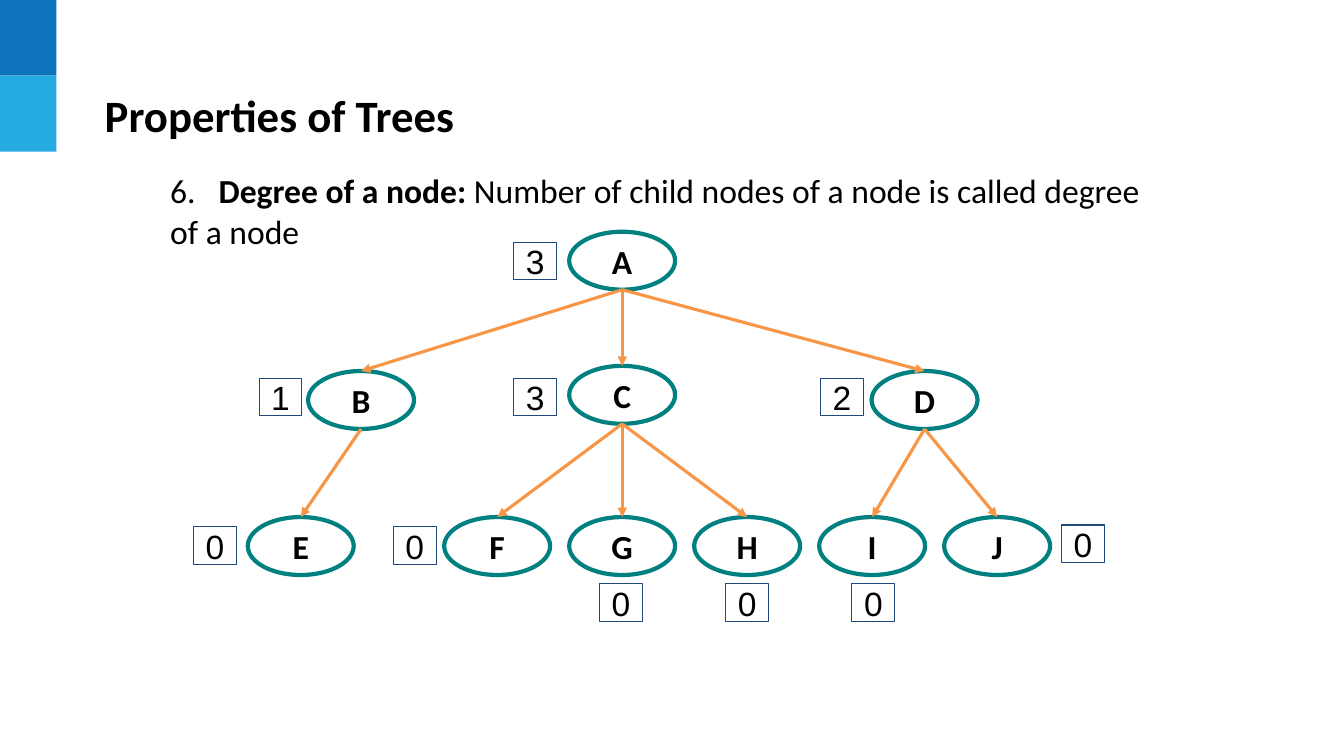
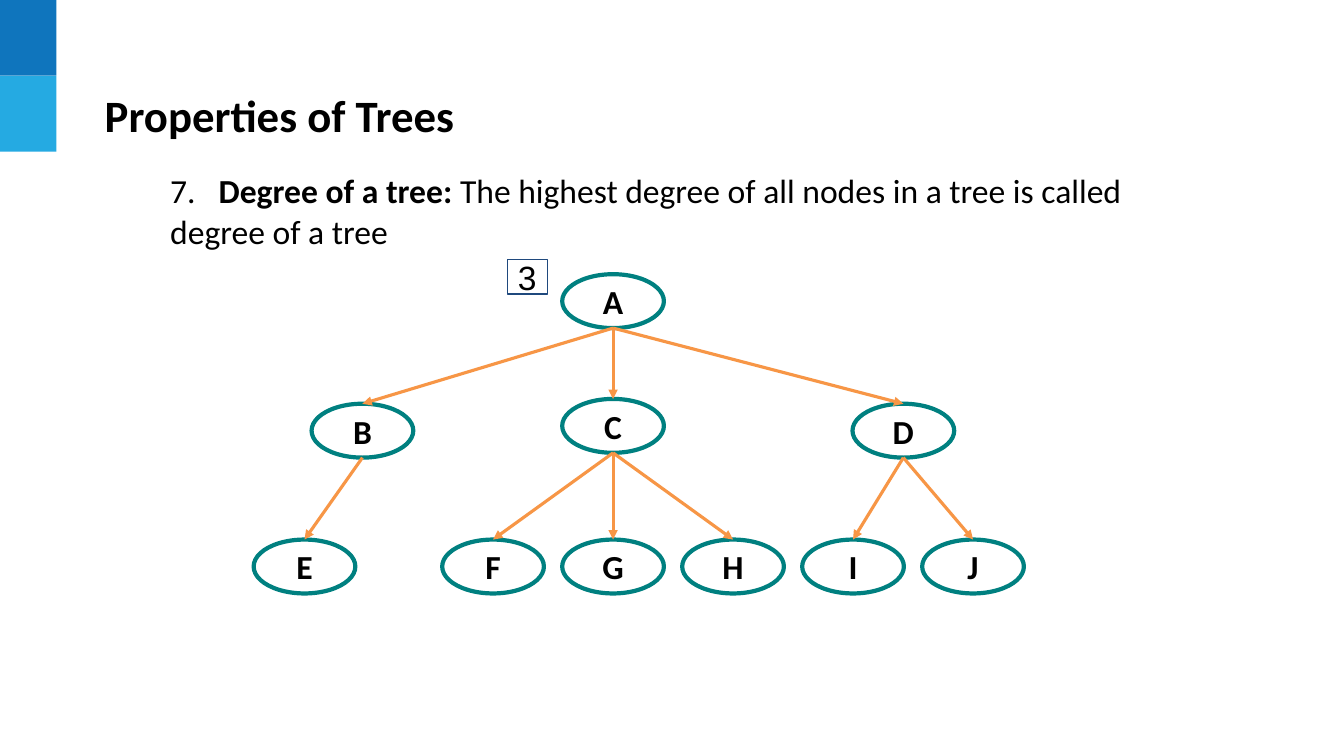
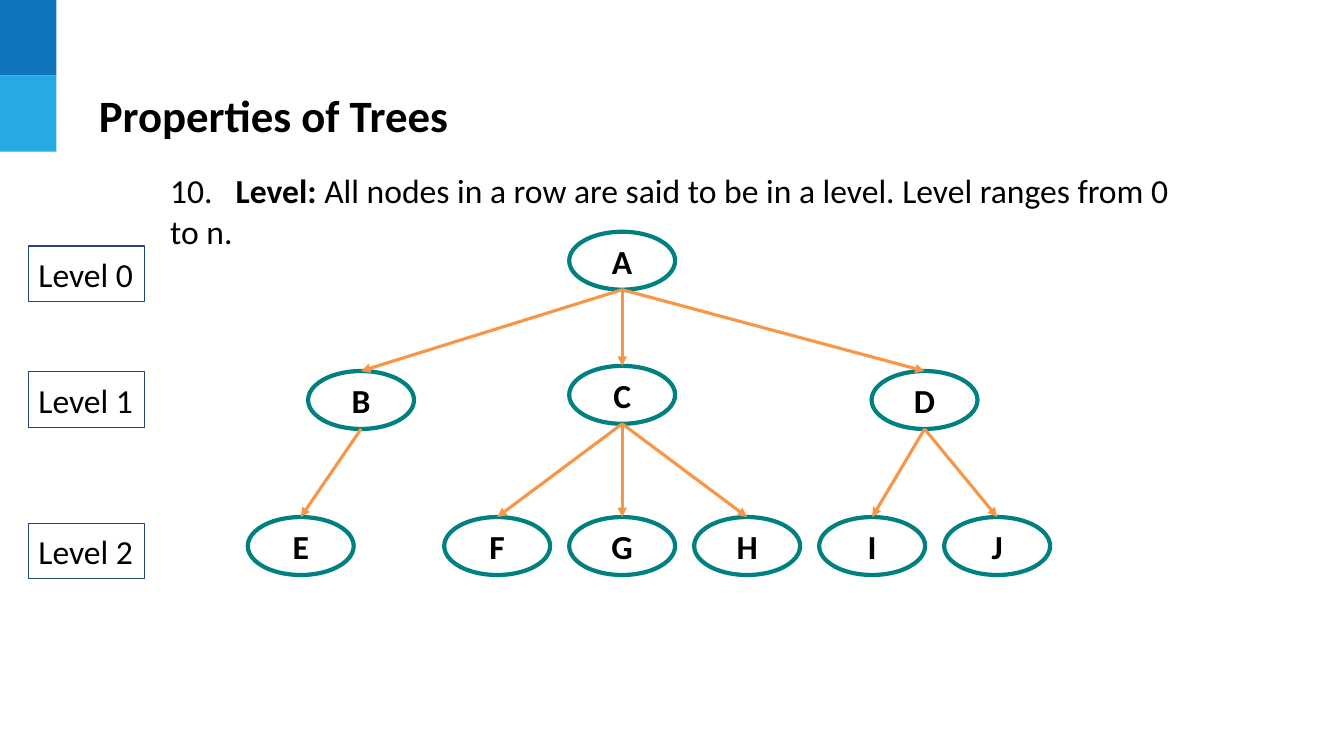
from dataclasses import dataclass

from lxml.etree import SubElement
from pptx import Presentation
from pptx.dml.color import RGBColor
from pptx.enum.shapes import MSO_CONNECTOR, MSO_SHAPE
from pptx.enum.text import MSO_ANCHOR, PP_ALIGN
from pptx.oxml.ns import qn
from pptx.util import Cm, Pt

COLORS = {
    "dark band": "0F75BD",
    "light band": "25AAE2",
    "text": "000000",
    "white": "FFFFFF",
    "node": "008080",
    "edge": "F79646",
    "label": "1F497D",
}
BODY_FONT = "Calibri"
BADGE_FONT = "Arial"
BODY_SIZE = 24
TITLE = "Properties of Trees"

# All lengths are centimetres.
BAND_WIDTH, BAND_HEIGHT = 1.42, 1.91
NODE_WIDTH, NODE_HEIGHT = 2.67, 1.46
LEAF_PITCH, LEAF_TOP = 3.15, 7.19
INSET, SMALL_INSET = 0.25, 0.13


@dataclass(frozen=True)
class Node:
    """A tree node: its centre and top are measured from the root's."""
    name: str
    center: float
    top: float
    parent: str = ""


@dataclass(frozen=True)
class TreePlacement:
    center: float
    top: float
    scale_x: float = 1
    scale_y: float = 1


@dataclass(frozen=True)
class Label:
    text: str
    left: float
    top: float
    width: float = 1.08
    height: float = 0.95
    font: str = BADGE_FONT
    alignment: PP_ALIGN = PP_ALIGN.CENTER


@dataclass(frozen=True)
class Property:
    """The content of one slide."""
    number: str
    term: str
    definition: str
    tab: float
    tree: TreePlacement
    labels: tuple[Label, ...]
    title_left: float = 2.39


NODES = (
    Node("A", 0, 0),
    Node("B", -6.58, 3.51, "A"),
    Node("C", 0, 3.38, "A"),
    Node("D", 7.62, 3.51, "A"),
    Node("E", -8.1, LEAF_TOP, "B"),
    *(Node(name, step * LEAF_PITCH, LEAF_TOP, parent)
      for step, (name, parent) in enumerate(
          (("F", "C"), ("G", "C"), ("H", "C"), ("I", "D"), ("J", "D")), start=-1)),
)

DEGREES = (
    Label("3", 12.95, 6.1),
    Label("1", 6.53, 9.53),
    Label("3", 12.95, 9.53),
    Label("2", 20.68, 9.53),
    Label("0", 4.88, 13.28),
    Label("0", 9.91, 13.28),
    *(Label("0", 15.11 + 3.18 * step, 14.71) for step in range(3)),
    Label("0", 26.75, 13.23),
)
LEVELS = tuple(
    Label(f"Level {level}", 0.72, top, 2.92, 1.4, BODY_FONT, PP_ALIGN.LEFT)
    for level, top in enumerate((6.2, 9.37, 13.19))
)

LARGE_TREE = TreePlacement(15.68, 5.84)
SMALL_TREE = TreePlacement(15.45, 6.91, 0.96, 0.93)

PROPERTIES = (
    Property("6.", "Degree of a node:",
             " Number of child nodes of a node is called degree of a node",
             1.22, LARGE_TREE, DEGREES),
    Property("7.", "Degree of a tree:",
             " The highest degree of all nodes in a tree is called degree of a tree",
             1.22, SMALL_TREE, (Label("3", 12.78, 6.55, 1.02, 0.86),)),
    Property("10.", "Level:",
             " All nodes in a row are said to be in a level. Level ranges from 0 to n.",
             1.65, LARGE_TREE, LEVELS, title_left=2.24),
)


def color(name: str) -> RGBColor:
    return RGBColor.from_string(COLORS[name])


def format_run(run, size: float = BODY_SIZE, bold: bool = False, font: str = BODY_FONT) -> None:
    run.font.name = font
    run.font.size = Pt(size)
    run.font.bold = bold
    run.font.color.rgb = color("text")


def set_insets(text_frame, horizontal: float, vertical: float) -> None:
    text_frame.margin_left = text_frame.margin_right = Cm(horizontal)
    text_frame.margin_top = text_frame.margin_bottom = Cm(vertical)


def add_filled_shape(slide, kind, left: float, top: float, width: float, height: float,
                     fill: str, line: str = "", line_width: float = 0):
    """Add a flat shape; without a line colour it has no outline."""
    shape = slide.shapes.add_shape(kind, Cm(left), Cm(top), Cm(width), Cm(height))
    shape.shadow.inherit = False
    shape.fill.solid()
    shape.fill.fore_color.rgb = color(fill)
    if line:
        shape.line.color.rgb = color(line)
        shape.line.width = Pt(line_width)
    else:
        shape.line.fill.background()
    return shape


def set_shape_text(shape, text: str, alignment: PP_ALIGN, vertical_inset: float,
                   bold: bool = False, font: str = BODY_FONT) -> None:
    text_frame = shape.text_frame
    text_frame.text = text
    text_frame.word_wrap = False
    text_frame.vertical_anchor = MSO_ANCHOR.MIDDLE
    set_insets(text_frame, INSET, vertical_inset)
    paragraph = text_frame.paragraphs[0]
    paragraph.alignment = alignment
    format_run(paragraph.runs[0], bold=bold, font=font)


def add_bands_to_layout(slide) -> None:
    """Draw the corner bands once and move them to the shared layout."""
    for row, fill in enumerate(("dark band", "light band")):
        band = add_filled_shape(slide, MSO_SHAPE.RECTANGLE, 0, row * BAND_HEIGHT,
                                BAND_WIDTH, BAND_HEIGHT, fill)
        slide.slide_layout.shapes.element.append(band.element)


def add_title(slide, left: float) -> None:
    text_frame = slide.shapes.add_textbox(Cm(left), Cm(1.75), Cm(22.23), Cm(2.29)).text_frame
    text_frame.text = TITLE
    text_frame.word_wrap = True
    text_frame.vertical_anchor = MSO_ANCHOR.MIDDLE
    set_insets(text_frame, INSET, SMALL_INSET)
    format_run(text_frame.paragraphs[0].runs[0], size=32, bold=True)


def add_definition(slide, item: Property) -> None:
    text_frame = slide.shapes.add_textbox(Cm(4.04), Cm(4.04), Cm(25.78), Cm(2.57)).text_frame
    text_frame.word_wrap = True
    set_insets(text_frame, INSET, INSET)
    paragraph = text_frame.paragraphs[0]
    tabs = SubElement(paragraph._p.get_or_add_pPr(), qn("a:tabLst"))
    SubElement(tabs, qn("a:tab"), pos=str(Cm(item.tab)), algn="l")
    for text, bold in ((item.number + "\t", False), (item.term, True), (item.definition, False)):
        run = paragraph.add_run()
        run.text = text
        format_run(run, bold=bold)


def add_arrow(slide, start: tuple[float, float], end: tuple[float, float]) -> None:
    arrow = slide.shapes.add_connector(
        MSO_CONNECTOR.STRAIGHT, *(Cm(value) for value in (*start, *end)))
    arrow.line.color.rgb = color("edge")
    arrow.line.width = Pt(2.25)
    SubElement(arrow.line._get_or_add_ln(), qn("a:tailEnd"), type="triangle")
    SubElement(arrow.element.spPr, qn("a:effectLst"))


def add_tree(slide, tree: TreePlacement) -> None:
    width, height = NODE_WIDTH * tree.scale_x, NODE_HEIGHT * tree.scale_y
    tops = {node.name: (tree.center + node.center * tree.scale_x,
                        tree.top + node.top * tree.scale_y) for node in NODES}
    for name, (center, top) in tops.items():
        ellipse = add_filled_shape(slide, MSO_SHAPE.OVAL, center - width / 2, top,
                                   width, height, "white", "node", 3)
        set_shape_text(ellipse, name, PP_ALIGN.CENTER, SMALL_INSET, bold=True)
    for node in NODES:
        if node.parent:
            center, top = tops[node.parent]
            add_arrow(slide, (center, top + height), tops[node.name])


def add_label(slide, label: Label) -> None:
    box = add_filled_shape(slide, MSO_SHAPE.RECTANGLE, label.left, label.top,
                           label.width, label.height, "white", "label", 0.75)
    set_shape_text(box, label.text, label.alignment, INSET, font=label.font)


def main() -> None:
    presentation = Presentation()
    presentation.slide_width, presentation.slide_height = Cm(33.87), Cm(19.05)
    blank_layout = presentation.slide_layouts[6]
    for index, item in enumerate(PROPERTIES):
        slide = presentation.slides.add_slide(blank_layout)
        if index == 0:
            add_bands_to_layout(slide)
        add_title(slide, item.title_left)
        add_definition(slide, item)
        add_tree(slide, item.tree)
        for label in item.labels:
            add_label(slide, label)
    presentation.save("out.pptx")


if __name__ == "__main__":
    main()
